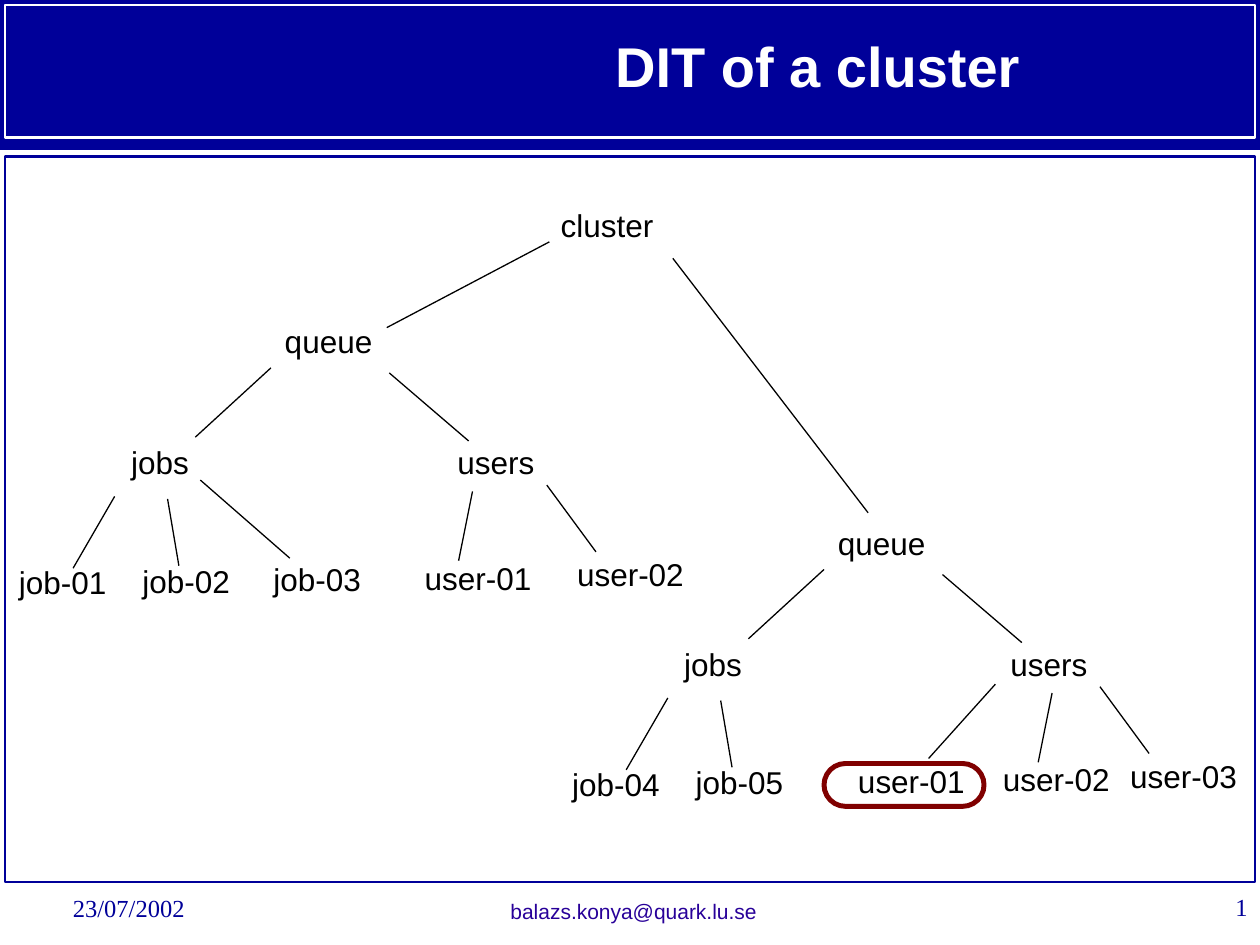
"""Build a slide showing the directory information tree of a cluster."""
import pptx
import pptx.dml.color
import pptx.enum.shapes
import pptx.enum.text
import pptx.oxml.ns
import pptx.util
import lxml.etree

COLORS = {"navy": "000099", "violet": "280099", "white": "FFFFFF", "black": "000000", "maroon": "800000"}
ALIGN = pptx.enum.text.PP_ALIGN

presentation = pptx.Presentation()
presentation.slide_width = pptx.util.Inches(10)
presentation.slide_height = pptx.util.Inches(7.5)
slide = presentation.slides.add_slide(presentation.slide_layouts[6])
column = presentation.slide_width / 100
row = presentation.slide_height / 75


def place(left, top, width, height):
    return [round(left * column), round(top * row), round(width * column), round(height * row)]


def add_text(text, box, size=18, font="Arial", color="black", align=ALIGN.LEFT,
             spacing=0.91, margins=(0, 0), wrap=False, bold=False, title=False):
    shape = slide.shapes.add_textbox(*place(*box))
    frame = shape.text_frame
    frame.text = text
    frame.word_wrap = wrap
    frame.auto_size = pptx.enum.text.MSO_AUTO_SIZE.NONE if title else pptx.enum.text.MSO_AUTO_SIZE.SHAPE_TO_FIT_TEXT
    frame.vertical_anchor = pptx.enum.text.MSO_ANCHOR.MIDDLE if title else pptx.enum.text.MSO_ANCHOR.TOP
    frame.margin_left = frame.margin_right = round(margins[0] * column)
    frame.margin_top = frame.margin_bottom = round(margins[1] * row)
    paragraph = frame.paragraphs[0]
    paragraph.alignment = align
    paragraph.line_spacing = spacing
    run = paragraph.runs[0]
    run.font.size = pptx.util.Pt(size)
    run.font.name = font
    run.font.bold = bold
    run.font.color.rgb = pptx.dml.color.RGBColor.from_string(COLORS[color])


panels = [
    ((0, 0, 100, 11.9), 0, "navy", None, 0),
    ((0.4, 12.4, 99.2, 57.6), 0, None, "navy", 1.5),
    ((0.4, 0.4, 99.2, 10.5), 0, None, "white", 1.5),
    ((65.4, 60.6, 12.7, 3.4), 0.5, None, "maroon", 2.83),
]
for box, rounding, fill, outline, weight in panels:
    shape = slide.shapes.add_shape(pptx.enum.shapes.MSO_SHAPE.ROUNDED_RECTANGLE, *place(*box))
    shape.adjustments[0] = rounding
    shape.shadow.inherit = False
    if fill:
        shape.fill.solid()
        shape.fill.fore_color.rgb = pptx.dml.color.RGBColor.from_string(COLORS[fill])
    else:
        shape.fill.background()
    if outline:
        shape.line.color.rgb = pptx.dml.color.RGBColor.from_string(COLORS[outline])
        shape.line.width = pptx.util.Pt(weight)
    else:
        shape.line.fill.background()

add_text("DIT of a cluster", (31.4, 1.2, 67, 8.6), size=32, color="white",
         align=ALIGN.CENTER, wrap=True, bold=True, title=True)
footer = {"size": 14, "font": "Times New Roman", "color": "navy", "spacing": 0.94, "margins": (1, 0.5), "wrap": True}
add_text("23/07/2002", (4.8, 70.6, 12.1, 3.2), **footer)
add_text("1", (92.4, 70.5, 7.6, 3.2), align=ALIGN.RIGHT, **footer)
add_text("balazs.konya@quark.lu.se", (39.3, 71.5, 22, 1.8), size=12, color="violet",
         align=ALIGN.CENTER, wrap=True)

label_widths = {"cluster": 7.5, "queue": 7.1, "jobs": 4.7, "users": 6.3, "job": 7.1, "user": 8.6}
branch_labels = [("queue", 22.6, 25.9), ("jobs", 10.4, 35.5), ("users", 36.3, 35.5)]
branch_lines = [
    (21.5, 29.2, 15.5, 34.7), (30.9, 29.6, 37.2, 35),
    (9.1, 39.4, 5.8, 45.1), (13.3, 39.6, 14.2, 44.9), (43.4, 38.5, 47.3, 43.8),
]
leaf_places = [(1.5, 45), (11.3, 44.9), (45.8, 44.4)]
branches = [
    (0, 0, ["job-01", "job-02", "user-02"]),
    (43.9, 16, ["job-04", "job-05", "user-03"]),
]

labels = [("cluster", 44.5, 16.7), ("job-03", 21.7, 44.8), ("user-01", 33.7, 44.7),
          ("user-01", 68.1, 60.8), ("user-02", 79.6, 60.6)]
lines = [(30.7, 26, 43.6, 19.2), (53.4, 20.5, 68.9, 40.7),
         (15.9, 38.1, 23, 44.3), (37.5, 39, 36.4, 44.5),
         (73.7, 60.2, 79, 54.3), (83.5, 55, 82.4, 60.5)]
for right, down, leaves in branches:
    nodes = branch_labels + [(leaf, *position) for leaf, position in zip(leaves, leaf_places)]
    labels += [(text, left + right, top + down) for text, left, top in nodes]
    lines += [(x1 + right, y1 + down, x2 + right, y2 + down) for x1, y1, x2, y2 in branch_lines]

for text, left, top in labels:
    add_text(text, (left, top, label_widths[text.split("-")[0]], 2.7))

for ends in lines:
    connector = slide.shapes.add_connector(pptx.enum.shapes.MSO_CONNECTOR.STRAIGHT, *place(*ends))
    connector.line.color.rgb = pptx.dml.color.RGBColor.from_string(COLORS["black"])
    connector.line.width = pptx.util.Pt(0.75)
    lxml.etree.SubElement(connector._element.spPr, pptx.oxml.ns.qn("a:effectLst"))

presentation.save("out.pptx")
